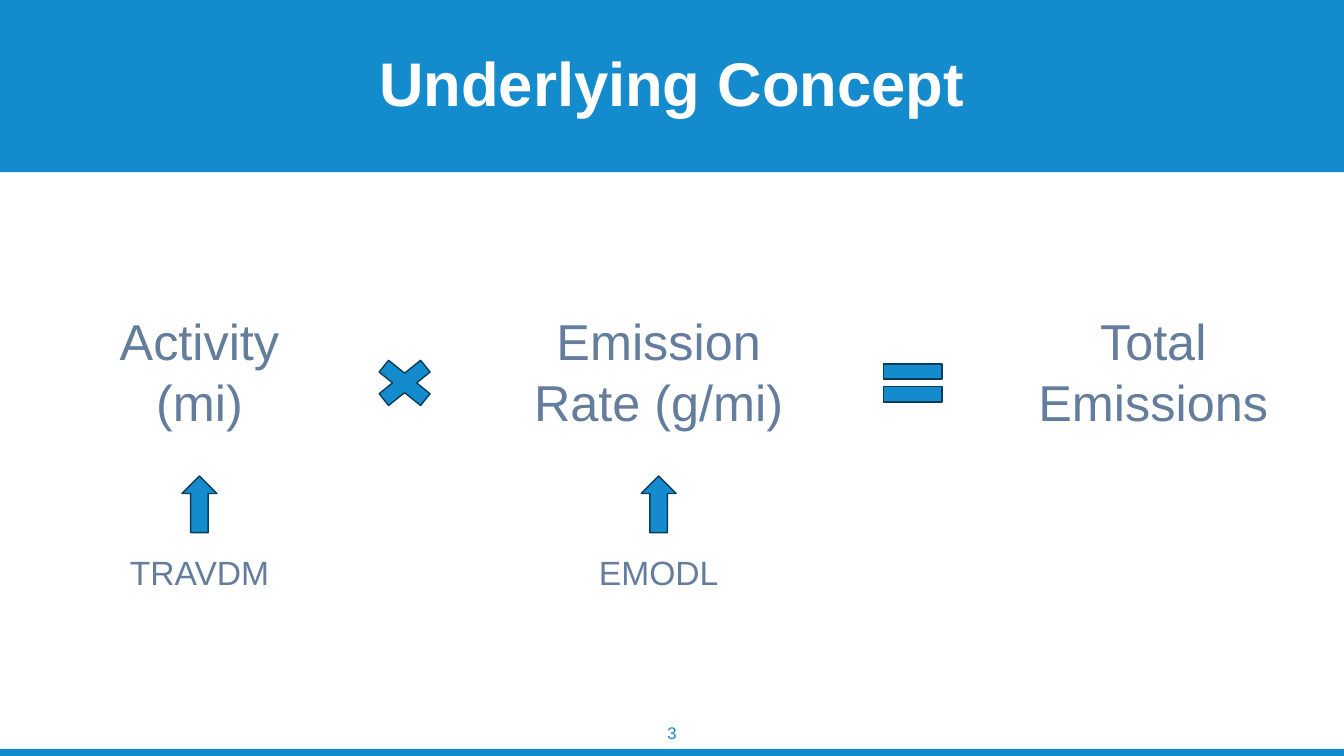
from pptx import Presentation
from pptx.dml.color import RGBColor
from pptx.enum.shapes import MSO_SHAPE
from pptx.enum.text import MSO_ANCHOR, PP_ALIGN
from pptx.util import Pt

RECTANGLE = MSO_SHAPE.RECTANGLE
MULTIPLY = MSO_SHAPE.MATH_MULTIPLY
EQUAL = MSO_SHAPE.MATH_EQUAL
UP_ARROW = MSO_SHAPE.UP_ARROW
CENTER = PP_ALIGN.CENTER
MIDDLE = MSO_ANCHOR.MIDDLE

COLORS = {"blue": "148BCC", "outline": "093D59", "text": "657D9D", "white": "FFFFFF"}
FONT = "Arial"
WIDTH, HEIGHT = 960, 540

# Term, its width, the model that supplies it
TERMS = [
    ("Activity (mi)", 131, "TRAVDM"),
    ("Emission Rate (g/mi)", 201, "EMODL"),
    ("Total Emissions", 181.5, None),
]
OPERATORS = [MULTIPLY, EQUAL]
OPERATOR_WIDTH, OPERATOR_HEIGHT = 57, 46
GAP = 52.5


def color(name):
    return RGBColor.from_string(COLORS[name])


def write(shape, text, size, color_name, bold=False):
    frame = shape.text_frame
    frame.word_wrap = True
    paragraph = frame.paragraphs[0]
    paragraph.alignment = CENTER
    run = paragraph.add_run()
    run.text = text
    run.font.name = FONT
    run.font.size = Pt(size)
    run.font.bold = bold
    run.font.color.rgb = color(color_name)


def add_text(slide, left, top, width, height, text, size, color_name="text"):
    box = slide.shapes.add_textbox(Pt(left), Pt(top), Pt(width), Pt(height))
    write(box, text, size, color_name)


def add_blue_shape(slide, kind, left, top, width, height, outlined=True):
    shape = slide.shapes.add_shape(kind, Pt(left), Pt(top), Pt(width), Pt(height))
    shape.shadow.inherit = False
    shape.fill.solid()
    shape.fill.fore_color.rgb = color("blue")
    if outlined:
        shape.line.color.rgb = color("outline")
        shape.line.width = Pt(1)
    else:
        shape.line.fill.background()
    return shape


def add_title_band(slide, left, top, width, height):
    band = add_blue_shape(slide, RECTANGLE, left, top, width, height, outlined=False)
    band.text_frame.vertical_anchor = MIDDLE
    write(band, "Underlying Concept", 44, "white", bold=True)
    band.text_frame.paragraphs[0].line_spacing = 0.9


def add_footer(slide, left, top, width, height):
    add_text(slide, left + width / 2 - 23, top, 46, 22, "3", 12, "blue")
    bar_height = 5
    add_blue_shape(slide, RECTANGLE, left, top + height - bar_height,
                   width, bar_height, outlined=False)


def add_source(slide, center, top, name):
    """Place an up arrow above the name of the model feeding a term."""
    arrow_width, label_width = 25, 120
    add_blue_shape(slide, UP_ARROW, center - arrow_width / 2, top, arrow_width, 40.5)
    add_text(slide, center - label_width / 2, top + 50.5, label_width, 40, name, 24)


def add_equation(slide, left, top):
    """Lay out terms and operators from left to right with equal gaps."""
    for index, (term, width, source) in enumerate(TERMS):
        add_text(slide, left, top, width, 111, term, 36)
        if source:
            add_source(slide, left + width / 2, top + 122, source)
        left += width + GAP
        if index < len(OPERATORS):
            add_blue_shape(slide, OPERATORS[index], left, top + 32.5,
                           OPERATOR_WIDTH, OPERATOR_HEIGHT)
            left += OPERATOR_WIDTH + GAP


def main():
    presentation = Presentation()
    presentation.slide_width = Pt(WIDTH)
    presentation.slide_height = Pt(HEIGHT)
    slide = presentation.slides.add_slide(presentation.slide_layouts[6])
    add_footer(slide, 0, 512.5, WIDTH, HEIGHT - 512.5)
    add_title_band(slide, 0, 0, WIDTH, 123)
    add_equation(slide, 77, 218)
    presentation.save("out.pptx")


if __name__ == "__main__":
    main()
